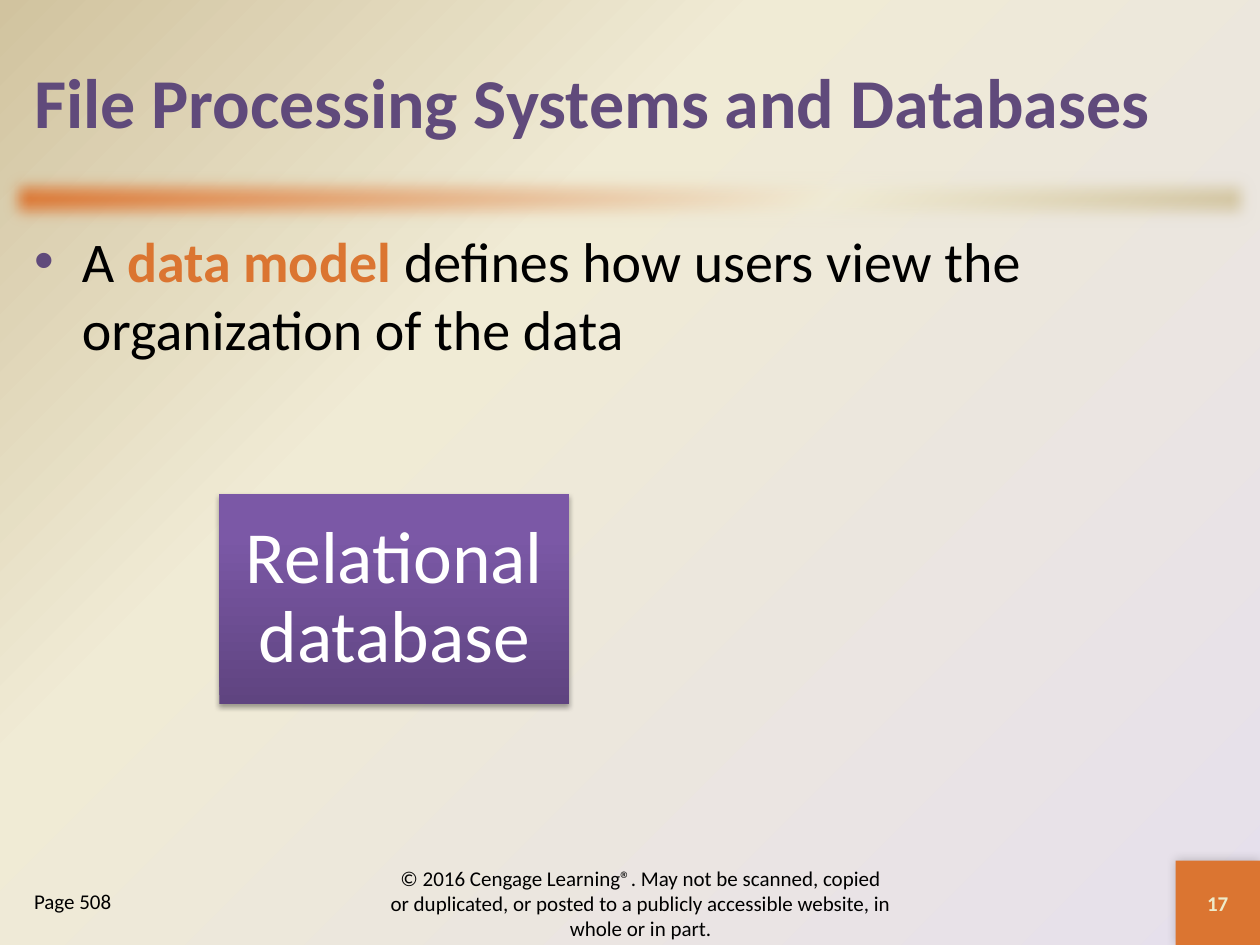
"""Build the slide on file processing systems and databases."""
from dataclasses import dataclass

import pptx
import pptx.dml.color
import pptx.enum.shapes
import pptx.enum.text
import pptx.oxml
import pptx.oxml.ns
import pptx.util

Inches = pptx.util.Inches
Pt = pptx.util.Pt
ALIGN = pptx.enum.text.PP_ALIGN
ANCHOR = pptx.enum.text.MSO_ANCHOR

FONT = "Calibri"
PURPLE, ORANGE, CREAM, SAND = "604A7B", "DB7531", "F0EBD5", "D1C39F"
BLACK, WHITE = "000000", "FFFFFF"


@dataclass(frozen=True)
class Area:
    left: float
    top: float
    width: float
    height: float


@dataclass(frozen=True)
class Words:
    text: str
    size: float
    color: str = BLACK
    bold: bool = False


@dataclass(frozen=True)
class Shadow:
    opacity: int
    blur: float
    distance: float
    direction: int


NUMBER_AREA = Area(9.33, 6.83, 0.67, 0.67)


def rgb(color: str):
    return pptx.dml.color.RGBColor.from_string(color)


def node(markup: str):
    tag, gap, rest = markup.partition(" ")
    namespace = pptx.oxml.ns.nsdecls("a")
    return pptx.oxml.parse_xml(f"<a:{tag} {namespace}{gap}{rest}")


def place(shape, area: Area) -> None:
    shape.left, shape.top = Inches(area.left), Inches(area.top)
    shape.width, shape.height = Inches(area.width), Inches(area.height)


def set_gradient(fill, owner, stops: list, direction: str) -> None:
    fill.gradient()
    gradient = next(owner.iter(pptx.oxml.ns.qn("a:gradFill")))
    for child in list(gradient):
        gradient.remove(child)
    marks = "".join(
        f'<a:gs pos="{position * 1000}"><a:srgbClr val="{color}"/></a:gs>'
        for position, color in stops
    )
    gradient.append(node(f"gsLst >{marks}</a:gsLst>"))
    gradient.append(node(direction))


def add_effect(shape, markup: str) -> None:
    shape.shadow.inherit = False
    effects = shape.element.spPr.find(pptx.oxml.ns.qn("a:effectLst"))
    effects.append(node(markup))


def add_shadow(shape, shadow: Shadow) -> None:
    add_effect(
        shape,
        f'outerShdw blurRad="{Pt(shadow.blur)}" dist="{Pt(shadow.distance)}" '
        f'dir="{shadow.direction * 60000}" rotWithShape="0"><a:srgbClr val="{BLACK}">'
        f'<a:alpha val="{shadow.opacity * 1000}"/></a:srgbClr></a:outerShdw>',
    )


def add_rectangle(slide, area: Area):
    rectangle = slide.shapes.add_shape(
        pptx.enum.shapes.MSO_SHAPE.RECTANGLE,
        Inches(area.left), Inches(area.top), Inches(area.width), Inches(area.height),
    )
    rectangle.line.fill.background()
    return rectangle


def write(shape, runs: list, align=ALIGN.LEFT, anchor=ANCHOR.MIDDLE):
    frame = shape.text_frame
    frame.word_wrap = True
    frame.auto_size = pptx.enum.text.MSO_AUTO_SIZE.NONE
    frame.vertical_anchor = anchor
    paragraph = frame.paragraphs[0]
    paragraph.alignment = align
    paragraph.space_before = Pt(0)
    for words in runs:
        run = paragraph.add_run()
        run.text = words.text
        run.font.name = FONT
        run.font.size = Pt(words.size)
        run.font.bold = words.bold
        run.font.color.rgb = rgb(words.color)
    return paragraph


def write_body(placeholder, area: Area, runs: list, bullets: list) -> None:
    place(placeholder, area)
    paragraph = write(placeholder, runs, anchor=ANCHOR.TOP)
    properties = paragraph._p.get_or_add_pPr()
    properties.set("marL", str(Inches(0.38)))
    properties.set("indent", str(Inches(-0.38)))
    for markup in bullets:
        properties.append(node(markup))


def add_label(slide, area: Area, words: Words) -> None:
    label = slide.shapes.add_textbox(0, 0, 0, 0)
    place(label, area)
    write(label, [words], ALIGN.CENTER)


def main() -> None:
    deck = pptx.Presentation()
    deck.slide_width, deck.slide_height = Inches(10), Inches(7.5)
    slide = deck.slides.add_slide(deck.slide_layouts[3])
    set_gradient(
        slide.background.fill, slide.element,
        [(0, "E6E0EC"), (65, CREAM), (100, SAND)],
        'path path="circle"><a:fillToRect l="100000" t="100000"/></a:path>',
    )

    divider = add_rectangle(slide, Area(0, 1.33, 10, 0.5))
    set_gradient(
        divider.fill, divider.element,
        [(0, ORANGE), (65, CREAM), (100, SAND)],
        f'lin ang="{45 * 60000}" scaled="0"/>',
    )
    add_effect(divider, f'softEdge rad="{Pt(10)}"/>')

    number_tile = add_rectangle(slide, NUMBER_AREA)
    number_tile.fill.solid()
    number_tile.fill.fore_color.rgb = rgb(ORANGE)
    add_shadow(number_tile, Shadow(20, 6, 0, 225))

    title, definition, page = slide.placeholders
    place(title, Area(0.17, 0.17, 9.67, 1.25))
    write(title, [Words("File Processing Systems and Databases", 40, PURPLE, True)])
    write_body(
        definition, Area(0.17, 1.75, 9.67, 5.08),
        [
            Words("A ", 32),
            Words("data model ", 32, ORANGE, True),
            Words("defines how users view the organization of the data", 32),
        ],
        [
            f'buClr ><a:srgbClr val="{PURPLE}"/></a:buClr>',
            'buFont typeface="Arial"/>',
            'buChar char="•"/>',
        ],
    )
    write_body(page, Area(0.17, 7, 1.83, 0.5), [Words("Page 508", 12)], ["buNone />"])

    add_label(slide, Area(3, 6.92, 4.17, 0.5), Words(
        "© 2016 Cengage Learning®. May not be scanned, copied or duplicated, "
        "or posted to a publicly accessible website, in whole or in part.", 12))
    add_label(slide, NUMBER_AREA, Words("17", 12, "EEEBCA", True))

    model = add_rectangle(slide, Area(1.74, 3.92, 2.78, 1.67))
    set_gradient(
        model.fill, model.element,
        [(0, "5F4480"), (80, "7B58A6"), (100, "7C57A8")],
        f'lin ang="{270 * 60000}" scaled="0"/>',
    )
    add_shadow(model, Shadow(35, 3.1, 1.8, 90))
    for side in ("left", "top", "right", "bottom"):
        setattr(model.text_frame, f"margin_{side}", Inches(0.17))
    model_name = write(model, [Words("Relational database", 42, WHITE)], ALIGN.CENTER)
    model_name.line_spacing = 0.9

    deck.save("out.pptx")


if __name__ == "__main__":
    main()
